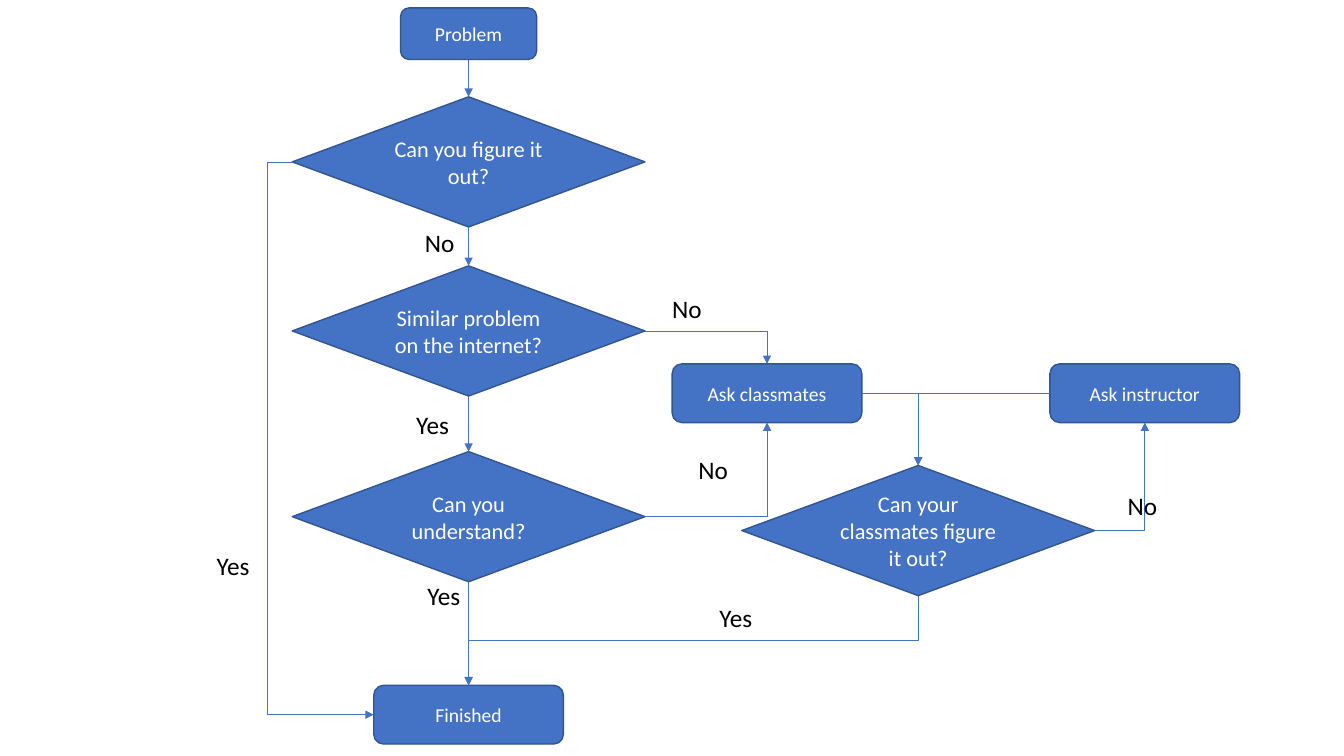
from lxml import etree
from pptx import Presentation
from pptx.dml.color import RGBColor
from pptx.enum.shapes import MSO_CONNECTOR as Route, MSO_SHAPE as Shape
from pptx.enum.text import MSO_ANCHOR as Anchor, MSO_AUTO_SIZE as Fit, PP_ALIGN as Align
from pptx.oxml.ns import qn
from pptx.util import Cm, Pt

TOP, LEFT, BOTTOM, RIGHT = range(4)


def color(value):
    return RGBColor.from_string(value)


def apply(target, values):
    for name, value in values.items():
        setattr(target, name, value)


class FlowChart:
    blue, edge, white, black = "4472C4", "325491", "FFFFFF", "000000"
    font = "Calibri"

    def __init__(self, page):
        self.page = page

    def add_text(self, box, text, size, ink, align, **frame_values):
        frame = box.text_frame
        apply(frame, frame_values)
        para = frame.paragraphs[0]
        para.alignment = align
        span = para.add_run()
        span.text = text
        apply(span.font, {"name": self.font, "size": Pt(size)})
        span.font.color.rgb = color(ink)

    def node(self, kind, text, center, top, width, height, size):
        box = self.page.shapes.add_shape(
            kind, Cm(center - width / 2), Cm(top), Cm(width), Cm(height))
        box.shadow.inherit = False
        box.fill.solid()
        box.fill.fore_color.rgb = color(self.blue)
        box.line.color.rgb = color(self.edge)
        box.line.width = Pt(1)
        self.add_text(box, text, size, self.white, Align.CENTER,
                      word_wrap=True, vertical_anchor=Anchor.MIDDLE)
        return box

    def decision(self, text, center, top):
        return self.node(Shape.FLOWCHART_DECISION, text, center, top, 8.89, 3.28, 16)

    def process(self, text, center, top, width=4.78, height=1.48):
        return self.node(Shape.FLOWCHART_ALTERNATE_PROCESS, text, center, top,
                         width, height, 14)

    def label(self, text, left, top):
        width = {"Yes": 1.55, "No": 1.32}[text]
        box = self.page.shapes.add_textbox(Cm(left), Cm(top), Cm(width), Cm(1.03))
        self.add_text(box, text, 18, self.black, Align.LEFT,
                      word_wrap=False, auto_size=Fit.SHAPE_TO_FIT_TEXT)

    def arrow(self, start, start_side, end, end_side, preset="line", bend=None):
        route = Route.STRAIGHT if preset == "line" else Route.ELBOW
        link = self.page.shapes.add_connector(route, 0, 0, 0, 0)
        link.begin_connect(start, start_side)
        link.end_connect(end, end_side)
        link.line.color.rgb = color(self.blue)
        link.line.width = Pt(0.5)
        properties = link._element.spPr
        geometry = properties.find(qn("a:prstGeom"))
        geometry.set("prst", preset)
        if bend is not None:
            guides = geometry.find(qn("a:avLst"))
            if guides is None:
                guides = etree.SubElement(geometry, qn("a:avLst"))
            etree.SubElement(guides, qn("a:gd"), name="adj1",
                             fmla=f"val {round(bend * 100000)}")
        etree.SubElement(link.line._get_or_add_ln(), qn("a:tailEnd"), type="triangle")
        etree.SubElement(properties, qn("a:effectLst"))
        return link

    def falling_arrow(self, start, end):
        link = self.arrow(start, BOTTOM, end, TOP, "bentConnector3", 0.5)
        width, height = link.width, link.height
        shift = (width - height) // 2
        apply(link, {"left": link.left + shift, "top": link.top - shift,
                     "width": height, "height": width})
        frame = link._element.spPr.find(qn("a:xfrm"))
        frame.attrib.pop("flipH", None)
        frame.set("rot", str(90 * 60000))


deck = Presentation()
apply(deck, {"slide_width": Cm(33.87), "slide_height": Cm(19.05)})
chart = FlowChart(deck.slides.add_slide(deck.slide_layouts[6]))

main = 11.81
problem = chart.process("Problem", main, 0.2, 3.43, 1.3)
figure = chart.decision("Can you figure it out?", main, 2.44)
similar = chart.decision("Similar problem on the internet?", main, 6.7)
understand = chart.decision("Can you understand?", main, 11.38)
finished = chart.process("Finished", main, 17.27)
classmates = chart.process("Ask classmates", 19.33, 9.17)
classmates_figure = chart.decision("Can your classmates figure it out?", 23.14, 11.73)
instructor = chart.process("Ask instructor", 28.85, 9.17)

steps = [problem, figure, similar, understand, finished]
for upper, lower in zip(steps, steps[1:]):
    chart.arrow(upper, BOTTOM, lower, TOP)

for start, start_side, end, end_side in [
    (similar, RIGHT, classmates, TOP),
    (understand, RIGHT, classmates, BOTTOM),
    (classmates, RIGHT, classmates_figure, TOP),
    (instructor, LEFT, classmates_figure, TOP),
    (classmates_figure, RIGHT, instructor, BOTTOM),
]:
    chart.arrow(start, start_side, end, end_side, "bentConnector2")

chart.arrow(figure, LEFT, finished, LEFT, "bentConnector3", -0.31)
chart.falling_arrow(classmates_figure, finished)

for text, left, top in [
    ("No", 10.46, 5.61), ("Yes", 10.24, 10.19), ("Yes", 10.52, 14.5),
    ("Yes", 5.21, 13.74), ("No", 16.69, 7.26), ("No", 17.35, 11.33),
    ("Yes", 17.88, 15.06), ("No", 28.17, 12.24),
]:
    chart.label(text, left, top)

deck.save("out.pptx")
